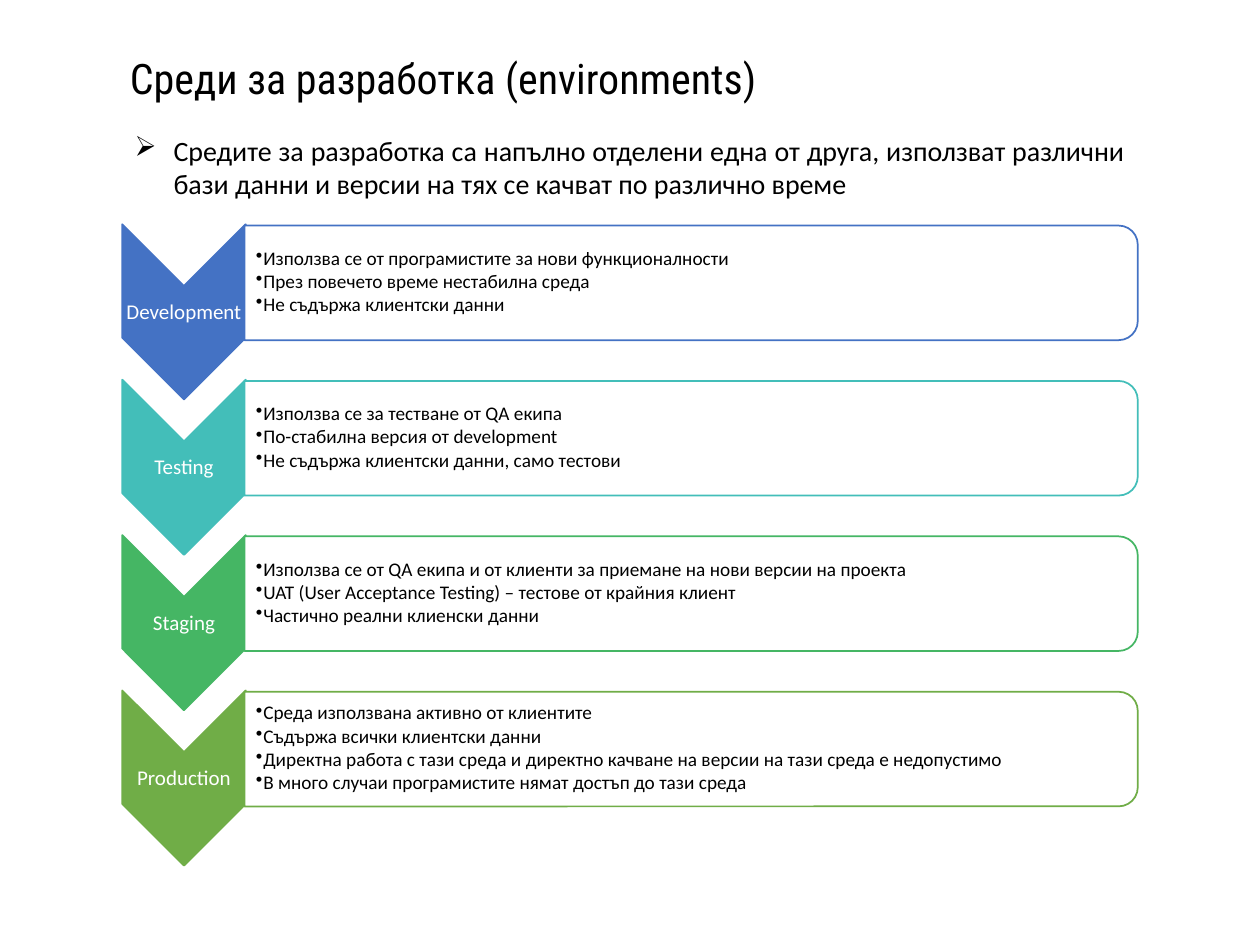
from dataclasses import dataclass

from lxml import etree
from pptx import Presentation
from pptx.dml.color import RGBColor
from pptx.enum.shapes import MSO_SHAPE
from pptx.enum.text import MSO_ANCHOR, MSO_AUTO_SIZE, PP_ALIGN
from pptx.oxml.ns import qn
from pptx.util import Inches, Pt

CHEVRON = MSO_SHAPE.CHEVRON
ROUNDED_PANEL = MSO_SHAPE.ROUND_2_SAME_RECTANGLE
TOP, MIDDLE = MSO_ANCHOR.TOP, MSO_ANCHOR.MIDDLE
LEFT, CENTER, JUSTIFY = PP_ALIGN.LEFT, PP_ALIGN.CENTER, PP_ALIGN.JUSTIFY
NO_AUTOFIT = MSO_AUTO_SIZE.NONE


@dataclass(frozen=True)
class Theme:
    black: str = "000000"
    white: str = "FFFFFF"
    title_font: str = "Roboto Condensed"
    body_font: str = "Calibri"
    title_size: int = 24
    intro_size: int = 16
    label_size: int = 12
    item_size: int = 11


THEME = Theme()
DEFAULT_INSETS = (0.1, 0.05, 0.1, 0.05)
LABEL_INSETS = (0.01, 0.01, 0.01, 0.01)
ITEM_INSETS = (0.09, 0.01, 0.01, 0.01)

FIRST_ROW_TOP = 1.79
ROW_STEP = 3.7 / 3
CHEVRON_LEFT, CHEVRON_WIDTH, CHEVRON_HEIGHT = 0.97, 0.98, 1.39
PANEL_LEFT, PANEL_WIDTH, PANEL_HEIGHT = 1.94, 7.09, 0.91

TITLE = "Среди за разработка (environments)"
INTRO = (
    "Средите за разработка са напълно отделени една от друга, използват различни "
    "бази данни и версии на тях се качват по различно време"
)
ENVIRONMENTS = [
    ("Development", "4472C4", [
        "Използва се от програмистите за нови функционалности",
        "През повечето време нестабилна среда",
        "Не съдържа клиентски данни",
    ]),
    ("Testing", "43BEB9", [
        "Използва се за тестване от QA екипа",
        "По-стабилна версия от development",
        "Не съдържа клиентски данни, само тестови",
    ]),
    ("Staging", "45B664", [
        "Използва се от QA екипа и от клиенти за приемане на нови версии на проекта",
        "UAT (User Acceptance Testing) – тестове от крайния клиент",
        "Частично реални клиенски данни",
    ]),
    ("Production", "70AD47", [
        "Среда използвана активно от клиентите",
        "Съдържа всички клиентски данни",
        "Директна работа с тази среда и директно качване на версии на тази среда е недопустимо",
        "В много случаи програмистите нямат достъп до тази среда",
    ]),
]


def set_font(paragraph, name, size, color):
    paragraph.font.name = name
    paragraph.font.size = Pt(size)
    paragraph.font.color.rgb = RGBColor.from_string(color)


def set_bullet(paragraph, character, indent):
    properties = paragraph._p.get_or_add_pPr()
    properties.set("marL", str(Inches(indent)))
    properties.set("indent", str(Inches(-indent)))
    etree.SubElement(properties, qn("a:buChar"), char=character)


def set_frame(frame, anchor, insets):
    frame.word_wrap = True
    frame.auto_size = NO_AUTOFIT
    frame.vertical_anchor = anchor
    left, top, right, bottom = map(Inches, insets)
    frame.margin_left, frame.margin_top = left, top
    frame.margin_right, frame.margin_bottom = right, bottom


def add_text(slide, box, lines, size, color, alignment=LEFT, anchor=MIDDLE,
             insets=DEFAULT_INSETS, line_spacing=0.9, space_after=0, bullet=None):
    frame = slide.shapes.add_textbox(*map(Inches, box)).text_frame
    set_frame(frame, anchor, insets)
    frame.text = "\n".join(lines)
    for paragraph in frame.paragraphs:
        paragraph.alignment = alignment
        paragraph.line_spacing = line_spacing
        paragraph.space_after = Pt(space_after)
        set_font(paragraph, THEME.body_font, size, color)
        if bullet:
            set_bullet(paragraph, *bullet)


def add_turned_shape(slide, kind, box, fill, line):
    left, top, width, height = box
    shift = (width - height) / 2
    shape = slide.shapes.add_shape(
        kind, Inches(left + shift), Inches(top - shift), Inches(height), Inches(width)
    )
    shape.rotation = 90
    shape.shadow.inherit = False
    shape.fill.solid()
    shape.fill.fore_color.rgb = RGBColor.from_string(fill)
    shape.line.color.rgb = RGBColor.from_string(line)
    shape.line.width = Pt(1)


def add_title(slide):
    title = slide.shapes.title
    title.left, title.top = Inches(0.93), Inches(0.37)
    title.width, title.height = Inches(8.72), Inches(0.5)
    set_frame(title.text_frame, TOP, DEFAULT_INSETS)
    title.text_frame.text = TITLE
    paragraph = title.text_frame.paragraphs[0]
    paragraph.alignment = LEFT
    set_font(paragraph, THEME.title_font, THEME.title_size, THEME.black)


def add_environment(slide, top, name, color, items):
    chevron = (CHEVRON_LEFT, top - 0.01, CHEVRON_WIDTH, CHEVRON_HEIGHT)
    panel = (PANEL_LEFT, top, PANEL_WIDTH, PANEL_HEIGHT)
    add_turned_shape(slide, CHEVRON, chevron, color, color)
    add_text(slide, (CHEVRON_LEFT, top + 0.48, CHEVRON_WIDTH, 0.42), [name],
             THEME.label_size, THEME.white, alignment=CENTER, insets=LABEL_INSETS)
    add_turned_shape(slide, ROUNDED_PANEL, panel, THEME.white, color)
    add_text(slide, (PANEL_LEFT, top + 0.04, PANEL_WIDTH - 0.05, 0.82), items,
             THEME.item_size, THEME.black, insets=ITEM_INSETS,
             space_after=1.4, bullet=("•", 0.06))


def main():
    presentation = Presentation()
    presentation.slide_width = Inches(10)
    presentation.slide_height = Inches(7.5)
    slide = presentation.slides.add_slide(presentation.slide_layouts[5])
    add_title(slide)
    for row, environment in enumerate(ENVIRONMENTS):
        add_environment(slide, FIRST_ROW_TOP + row * ROW_STEP, *environment)
    add_text(slide, (0.97, 1.01, 8.06, 0.64), [INTRO], THEME.intro_size, THEME.black,
             alignment=JUSTIFY, anchor=TOP, line_spacing=1.0, bullet=("➢", 0.31))
    presentation.save("out.pptx")


if __name__ == "__main__":
    main()
